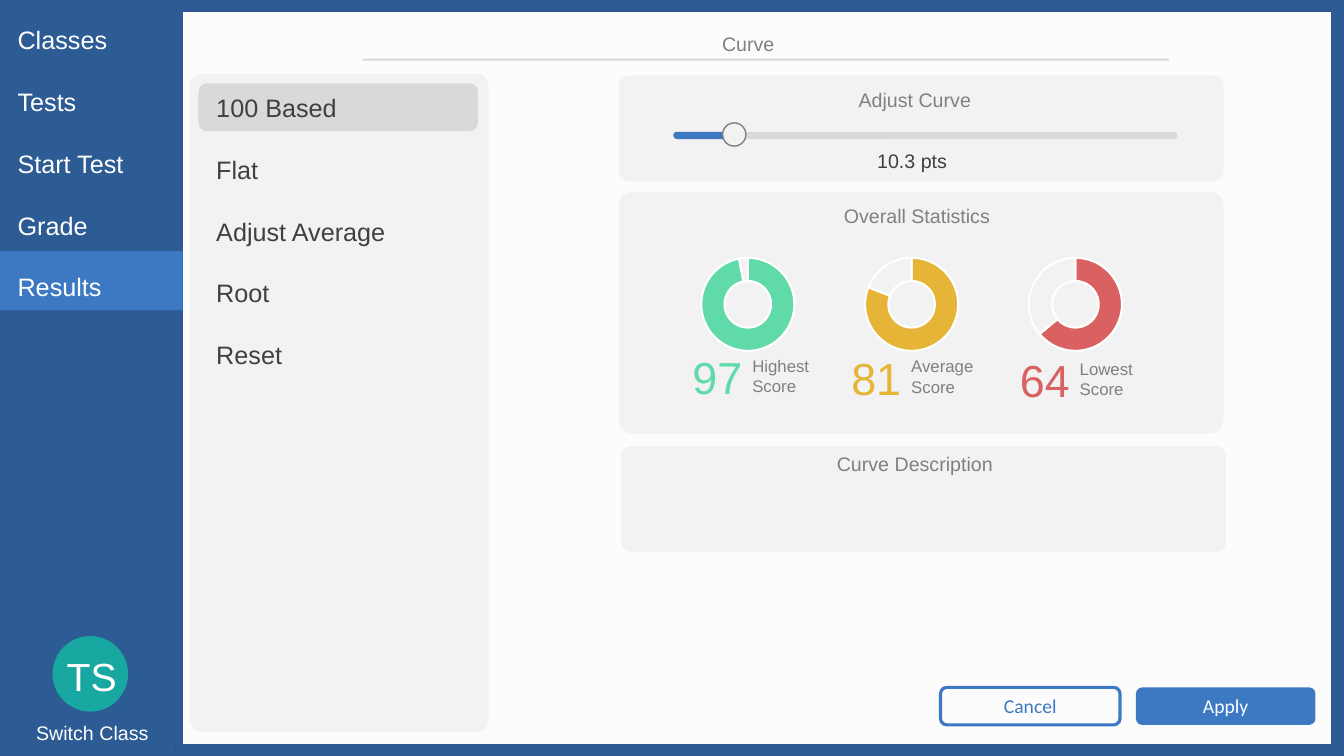
from dataclasses import dataclass

from pptx import Presentation
from pptx.chart.data import CategoryChartData
from pptx.dml.color import RGBColor
from pptx.enum.chart import XL_CHART_TYPE as ChartType
from pptx.enum.shapes import MSO_SHAPE as Preset
from pptx.enum.text import MSO_ANCHOR as Anchor, PP_ALIGN as Align
from pptx.oxml.ns import qn
from pptx.slide import Slide
from pptx.text.text import TextFrame
from pptx.util import Pt

COLOURS = {
    "page": "FCFCFC", "navy": "2D5B93", "edge": "325491", "blue": "3C79C2",
    "panel": "F2F2F2", "track": "D9D9D9", "teal": "18A8A1", "white": "FFFFFF",
    "black": "000000", "grey": "808080", "ink": "404040",
    "green": "60DAA9", "amber": "E6B436", "red": "D96161",
}
MENU_GAP = 22.5
DONUT_SIZE = 86.4
DONUT_LEFT, DONUT_PITCH = 491, 117


@dataclass
class Label:
    left: float
    top: float
    width: float
    height: float
    lines: list[str]
    size: float
    colour: str
    align: Align = Align.CENTER
    gap: float = 0
    font: str = "Arial"


@dataclass
class Block:
    left: float
    top: float
    width: float
    height: float
    fill: str | None
    preset: Preset = Preset.RECTANGLE
    line: str | None = None
    line_width: float = 1
    corner: float | None = None
    caption: str = ""
    caption_colour: str = "white"


@dataclass
class Score:
    value: int
    name: str
    colour: str
    number_right: float
    number_top: float


def rgb(name: str) -> RGBColor:
    """Return the named colour."""
    return RGBColor.from_string(COLOURS[name])


def apply_format(target: object, values: dict) -> None:
    """Set every attribute in values on the target."""
    for name, value in values.items():
        setattr(target, name, value)


def write_lines(frame: TextFrame, label: Label) -> None:
    """Fill a text frame with one paragraph per line."""
    for index, line in enumerate(label.lines):
        paragraph = frame.add_paragraph() if index else frame.paragraphs[0]
        apply_format(paragraph, {"alignment": label.align, "space_after": Pt(label.gap)})
        run = paragraph.add_run()
        run.text = line
        apply_format(run.font, {"name": label.font, "size": Pt(label.size)})
        run.font.color.rgb = rgb(label.colour)


def draw_label(slide: Slide, label: Label) -> None:
    """Draw a wrapped text box."""
    box = slide.shapes.add_textbox(
        Pt(label.left), Pt(label.top), Pt(label.width), Pt(label.height))
    box.text_frame.word_wrap = True
    write_lines(box.text_frame, label)


def draw_block(slide: Slide, block: Block) -> None:
    """Draw a preset shape with an optional caption."""
    shape = slide.shapes.add_shape(
        block.preset, Pt(block.left), Pt(block.top), Pt(block.width), Pt(block.height))
    shape.shadow.inherit = False
    if block.corner is not None:
        shape.adjustments[0] = block.corner
    if block.fill:
        shape.fill.solid()
        shape.fill.fore_color.rgb = rgb(block.fill)
    else:
        shape.fill.background()
    if block.line:
        shape.line.color.rgb = rgb(block.line)
        shape.line.width = Pt(block.line_width)
    else:
        shape.line.fill.background()
    if block.caption:
        shape.text_frame.vertical_anchor = Anchor.MIDDLE
        write_lines(shape.text_frame, Label(
            0, 0, 0, 0, [block.caption], 14, block.caption_colour, font="Calibri"))


def draw_score(slide: Slide, score: Score, left: float) -> None:
    """Draw a score's doughnut, number and name."""
    data = CategoryChartData()
    data.categories = ["1", "2"]
    data.add_series("Series 1", [score.value, 100 - score.value])
    chart = slide.shapes.add_chart(
        ChartType.DOUGHNUT, Pt(left), Pt(174.2), Pt(DONUT_SIZE), Pt(DONUT_SIZE), data).chart
    apply_format(chart, {"has_title": False, "has_legend": False})
    apply_format(chart.font, {"name": "Calibri", "size": Pt(10)})
    chart.font.color.rgb = rgb("black")
    plot = chart.plots[0]
    plot.vary_by_categories = True
    next(chart.element.iter(qn("c:holeSize"))).set("val", "75")
    for index in range(2):
        form = plot.series[0].points[index].format
        form.line.color.rgb = rgb("white")
        form.line.width = Pt(1.5)
        if index:
            form.fill.background()
        else:
            form.fill.solid()
            form.fill.fore_color.rgb = rgb(score.colour)
    right, top = score.number_right, score.number_top
    draw_label(slide, Label(right - 58, top, 58, 46, [str(score.value)], 32,
                            score.colour, Align.RIGHT))
    draw_label(slide, Label(right - 7, top + 4, 67, 36, [score.name, "Score"], 12,
                            "grey", Align.LEFT))


def heading(left: float, top: float, text: str, colour: str = "grey") -> Label:
    """Return a centred heading."""
    return Label(left, top, 178, 24.5, [text], 14, colour)


ROUND = Preset.ROUNDED_RECTANGLE
FRAME = [(0, 0, 130.5, 540), (113.8, 0, 846, 8),
         (125, 531.8, 835, 8), (951.1, 0, 8.7, 540)]
BLOCKS = [
    *(Block(*bounds, "navy", line="edge") for bounds in FRAME),
    Block(0, 179.3, 130.5, 42.5, "blue"),
    Block(259.2, 41.8, 576, 1.5, "track"),
    Block(811.4, 491, 128.2, 26.8, "blue", ROUND, caption="Apply"),
    Block(671.8, 491, 128.2, 26.8, None, ROUND, "blue", 2.25,
          caption="Cancel", caption_colour="blue"),
    Block(37.5, 454.3, 54, 54, "teal", Preset.OVAL),
    Block(135.6, 52.6, 213.4, 470.4, "panel", ROUND, corner=0.041),
    Block(141.8, 59.6, 199.6, 34, "track", ROUND),
    Block(442, 137.2, 432, 172.5, "panel", ROUND, corner=0.054),
    Block(442, 53.8, 432, 75.6, "panel", ROUND, corner=0.09),
    Block(481, 94.1, 360, 5.2, "track", ROUND, corner=0.5),
    Block(481, 94.1, 42, 5.2, "blue", ROUND, corner=0.5),
    Block(516.2, 87.8, 16.6, 16.6, "panel", Preset.OVAL, "grey"),
    Block(443.7, 318.6, 432, 75.6, "panel", ROUND, corner=0.09),
]
LABELS = [
    heading(445.5, 19.5, "Curve"),
    heading(566, 141.8, "Overall Statistics"),
    heading(564.5, 59, "Adjust Curve"),
    heading(564.5, 103, "10.3 pts ", "ink"),
    heading(564.5, 319, "Curve Description"),
    Label(33, 462.2, 65, 41, ["TS"], 28, "white"),
    Label(15, 511.2, 102, 24.5, ["Switch Class"], 14, "white"),
    Label(147.4, 62.6, 147, 247,
          ["100 Based", "Flat", "Adjust Average", "Root", "Reset"],
          18, "ink", Align.LEFT, MENU_GAP),
    Label(5.5, 14, 105, 204, ["Classes", "Tests", "Start Test", "Grade", "Results"],
          18, "white", Align.LEFT, MENU_GAP),
]
SCORES = [
    Score(97, "Highest", "green", 537.3, 246.3),
    Score(81, "Average", "amber", 650.8, 246.9),
    Score(64, "Lowest", "red", 771.2, 248.4),
]

presentation = Presentation()
apply_format(presentation, {"slide_width": Pt(960), "slide_height": Pt(540)})
slide = presentation.slides.add_slide(presentation.slide_layouts[6])
slide.background.fill.solid()
slide.background.fill.fore_color.rgb = rgb("page")
for block in BLOCKS:
    draw_block(slide, block)
for label in LABELS:
    draw_label(slide, label)
for position, score in enumerate(SCORES):
    draw_score(slide, score, DONUT_LEFT + position * DONUT_PITCH)
presentation.save("out.pptx")
